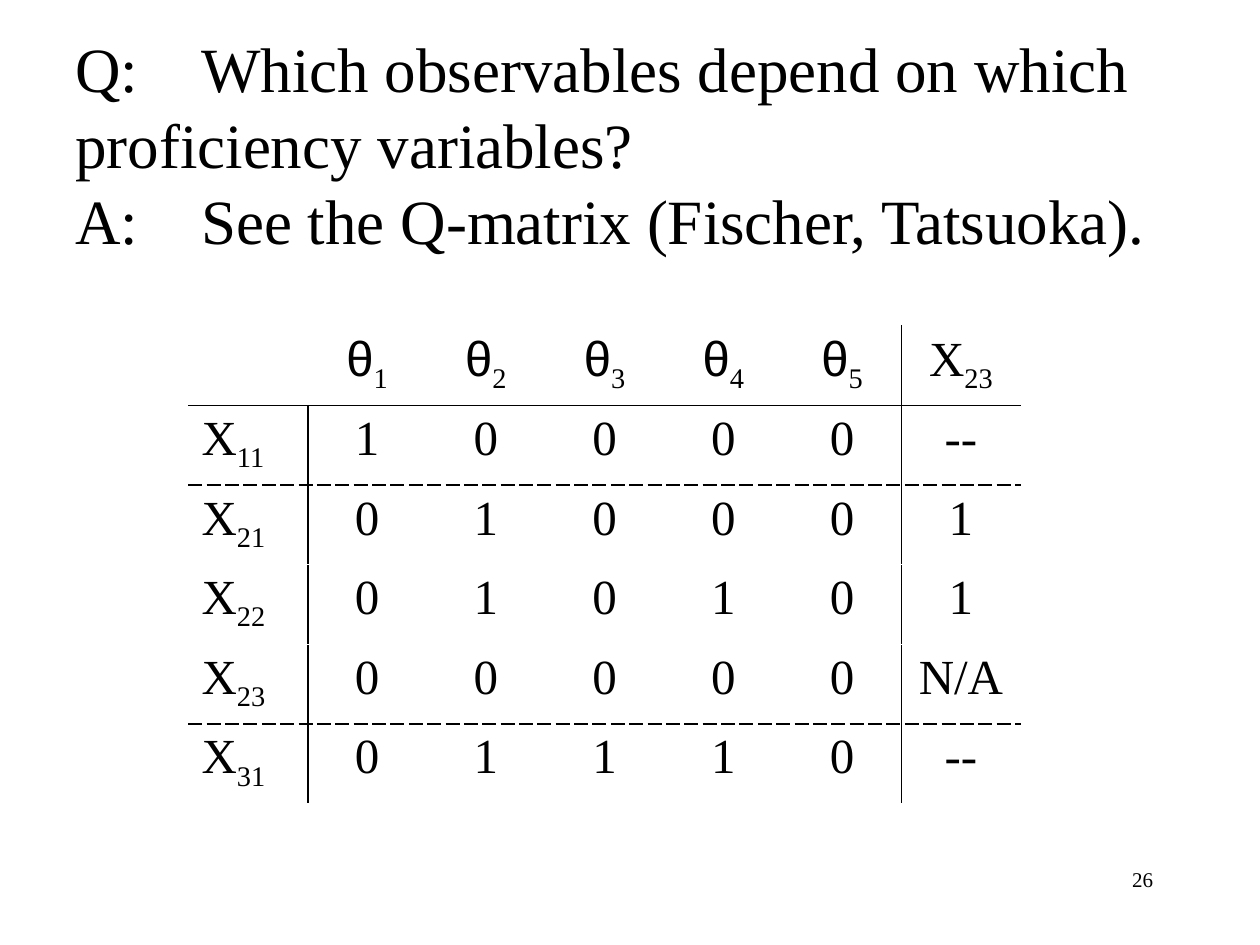
from lxml.etree import SubElement
from pptx import Presentation
from pptx.dml.color import RGBColor
from pptx.enum.text import MSO_ANCHOR as Anchor, PP_ALIGN as Align
from pptx.oxml.ns import qn
from pptx.util import Inches, Pt

INK = "000000"
SERIF, SANS = "Times New Roman", "Arial"
HEADINGS = ["", "θ_1", "θ_2", "θ_3", "θ_4", "θ_5", "X_23"]
Q_MATRIX = [
    HEADINGS,
    ["X_11", "1", "0", "0", "0", "0", "--"],
    ["X_21", "0", "1", "0", "0", "0", "1"],
    ["X_22", "0", "1", "0", "1", "0", "1"],
    ["X_23", "0", "0", "0", "0", "0", "N/A"],
    ["X_31", "0", "1", "1", "1", "0", "--"],
]
ROW_RULES = {0: "solid", 1: "dash", 4: "dash"}


def color(code):
    return RGBColor.from_string(code)


class SlideBuilder:
    def __init__(self, deck):
        self.deck = deck
        self.page = deck.slides.add_slide(deck.slide_layouts[6])

    def place(self, left, top, width, height):
        wide, high = self.deck.slide_width, self.deck.slide_height
        return [int(share * side) for share, side in
                zip((left, top, width, height), (wide, high, wide, high))]

    def style(self, para, size, align):
        para.alignment = align
        para.font.size = Pt(size)
        para.font.name = SERIF
        para.font.color.rgb = color(INK)

    def text(self, area, lines, size, align=Align.LEFT, anchor=Anchor.TOP,
             pitch=None, bottom=0.05):
        frame = self.page.shapes.add_textbox(*self.place(*area)).text_frame
        frame.word_wrap = True
        frame.vertical_anchor = anchor
        frame.margin_bottom = Inches(bottom)
        frame.text = "\n".join(lines)
        for para in frame.paragraphs:
            self.style(para, size, align)
            if pitch:
                para.line_spacing = Pt(pitch)

    def symbol(self, para, label):
        base, _, index = label.partition("_")
        span = para.add_run()
        span.text = base
        if base == "θ":
            span.font.name = SANS
        if index:
            span = para.add_run()
            span.text = index
            span.font._element.set("baseline", "-25000")

    def borders(self, cell, rules):
        props = cell._tc.get_or_add_tcPr()
        for position, side in enumerate(s for s in "LRTB" if s in rules):
            line = SubElement(props, qn(f"a:ln{side}"), w=str(Pt(1)))
            fill = SubElement(line, qn("a:solidFill"))
            SubElement(fill, qn("a:srgbClr"), val=INK)
            SubElement(line, qn("a:prstDash"), val=rules[side])
            props.insert(position, line)

    def matrix(self, area, rows, size):
        place = self.place(*area)
        table = self.page.shapes.add_table(len(rows), len(rows[0]), *place).table
        table.first_row = table.horz_banding = False
        for column in table.columns:
            column.width = place[2] // len(rows[0])
        for r, labels in enumerate(rows):
            table.rows[r].height = place[3] // len(rows)
            for c, label in enumerate(labels):
                cell = table.cell(r, c)
                cell.fill.background()
                para = cell.text_frame.paragraphs[0]
                self.style(para, size, Align.CENTER if c else Align.LEFT)
                if label:
                    self.symbol(para, label)
                rules = {"T": ROW_RULES.get(r - 1), "B": ROW_RULES.get(r),
                         "R": "solid" if c == 5 or (c == 0 and r) else None,
                         "L": "solid" if c == 6 or (c == 1 and r) else None}
                self.borders(cell, {side: dash for side, dash in rules.items() if dash})


def main():
    deck = Presentation()
    deck.slide_width, deck.slide_height = Inches(10), Inches(7.5)
    slide = SlideBuilder(deck)
    slide.text((0.05, 0.04, 0.93, 0.29),
               ["Q:\tWhich observables depend on which proficiency variables?",
                "A:\tSee the Q-matrix (Fischer, Tatsuoka)."],
               36, anchor=Anchor.MIDDLE, pitch=43.2, bottom=0.55)
    slide.matrix((0.15, 0.345, 0.66, 0.5), Q_MATRIX, 28)
    slide.text((0.72, 0.91, 0.205, 0.07), ["26"], 12, align=Align.RIGHT)
    deck.save("out.pptx")


if __name__ == "__main__":
    main()
